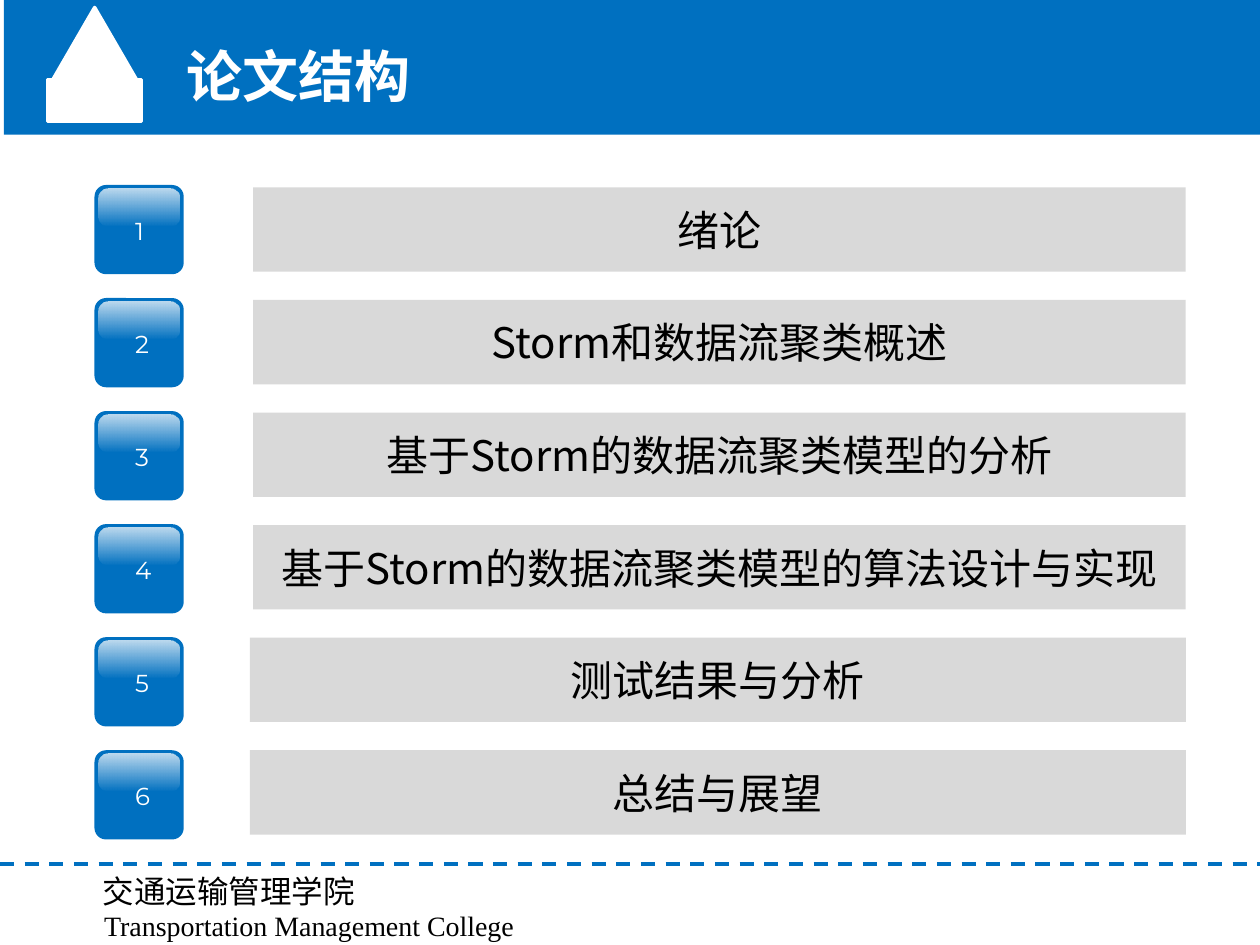
"""Builds the thesis outline slide with six numbered chapters."""
from pptx import Presentation
from pptx.dml.color import RGBColor as Rgb
from pptx.enum.dml import MSO_LINE_DASH_STYLE as Dash
from pptx.enum.shapes import MSO_CONNECTOR as Connector, MSO_SHAPE as Shape
from pptx.enum.text import MSO_ANCHOR as Anchor, MSO_AUTO_SIZE as AutoSize, PP_ALIGN as Align
from pptx.oxml.ns import qn
from pptx.util import Pt
from lxml.etree import SubElement

COLORS = {"blue": "0070C0", "white": "FFFFFF", "gray": "D9D9D9", "black": "000000"}
RGB = {name: Rgb.from_string(value) for name, value in COLORS.items()}
SANS = "Noto Sans CJK SC"
CHAPTERS = [
    "绪论",
    "Storm和数据流聚类概述",
    "基于Storm的数据流聚类模型的分析",
    "基于Storm的数据流聚类模型的算法设计与实现",
    "测试结果与分析",
    "总结与展望",
]


def add_block(shapes, kind, area, fill=None, outline=None, corner=None):
    block = shapes.add_shape(kind, *map(Pt, area))
    block.shadow.inherit = False
    if fill:
        block.fill.solid()
        block.fill.fore_color.rgb = RGB[fill]
    if outline:
        block.line.color.rgb = RGB[outline]
        block.line.width = Pt(2)
    else:
        block.line.fill.background()
    if corner:
        block.adjustments[0] = corner
    return block


def write_text(box, text, color, font, frame_format):
    for name, value in frame_format.items():
        setattr(box.text_frame, name, value)
    para = box.text_frame.paragraphs[0]
    span = para.add_run()
    span.text = text
    span.font.color.rgb = RGB[color]
    for name, value in font.items():
        setattr(span.font, name, value)
    SubElement(span.font._element, qn("a:ea"), typeface=font["name"])
    return para


deck = Presentation()
deck.slide_width, deck.slide_height = Pt(720), Pt(540)
page = deck.slides.add_slide(deck.slide_layouts[6])
shapes = page.shapes

add_block(shapes, Shape.RECTANGLE, (2.2, 0, 720, 77), "blue")
add_block(shapes, Shape.RECTANGLE, (27.2, 45.4, 53.6, 24.2), "white", "white")
add_block(shapes, Shape.ISOSCELES_TRIANGLE, (28.6, 4.3, 51, 44), "white", "white")

divider = shapes.add_connector(Connector.STRAIGHT, Pt(0), Pt(493.7), Pt(720), Pt(493.7))
divider.line.color.rgb = RGB["blue"]
divider.line.width = Pt(2)
divider.line.dash_style = Dash.DASH
SubElement(divider._element.spPr, qn("a:effectLst"))

labels = [
    ("论文结构", (99.4, 20.2, 142.6, 46), "white", {"size": Pt(32), "name": SANS, "bold": True}),
    ("交通运输管理学院", (51.8, 494.6, 158.4, 29), "black", {"size": Pt(18), "name": SANS}),
    ("Transportation Management College", (52.4, 515.5, 249, 26.6), "black",
     {"size": Pt(16), "name": "Times New Roman"}),
]
for text, area, color, font in labels:
    box = shapes.add_textbox(*map(Pt, area))
    write_text(box, text, color, font,
               {"word_wrap": False, "auto_size": AutoSize.SHAPE_TO_FIT_TEXT})

for index, chapter in enumerate(CHAPTERS):
    badge_top = 105.7 + 64.6 * index
    badge = shapes.add_group_shape().shapes
    add_block(badge, Shape.ROUNDED_RECTANGLE, (54, badge_top, 51, 51), "blue", corner=0.13)
    number = badge.add_textbox(Pt(70.6), Pt(badge_top + 14), Pt(13.7), Pt(23))
    write_text(number, str(index + 1), "white", {"size": Pt(14), "name": "Montserrat"},
               {"word_wrap": False, "auto_size": AutoSize.NONE})

    gloss = add_block(badge, Shape.ROUNDED_RECTANGLE, (56.2, badge_top + 2.2, 46.4, 21), corner=0.26)
    gloss.fill.gradient()
    gloss.fill.gradient_angle = 270
    for stop in gloss.fill.gradient_stops:
        stop.color.rgb = RGB["white"]
    for tint, alpha in zip(gloss._element.iter(qn("a:srgbClr")), ("75000", "0")):
        SubElement(tint, qn("a:alpha"), val=alpha)

    bar_left = 144.6 if index < 4 else 142.8
    bar = add_block(shapes, Shape.RECTANGLE,
                    (bar_left, 107.1 + 64.33 * index, 677.6 - bar_left, 48.2), "gray")
    para = write_text(bar, chapter, "black", {"size": Pt(24), "name": SANS},
                      {"word_wrap": True, "vertical_anchor": Anchor.MIDDLE})
    para.alignment = Align.CENTER

deck.save("out.pptx")
